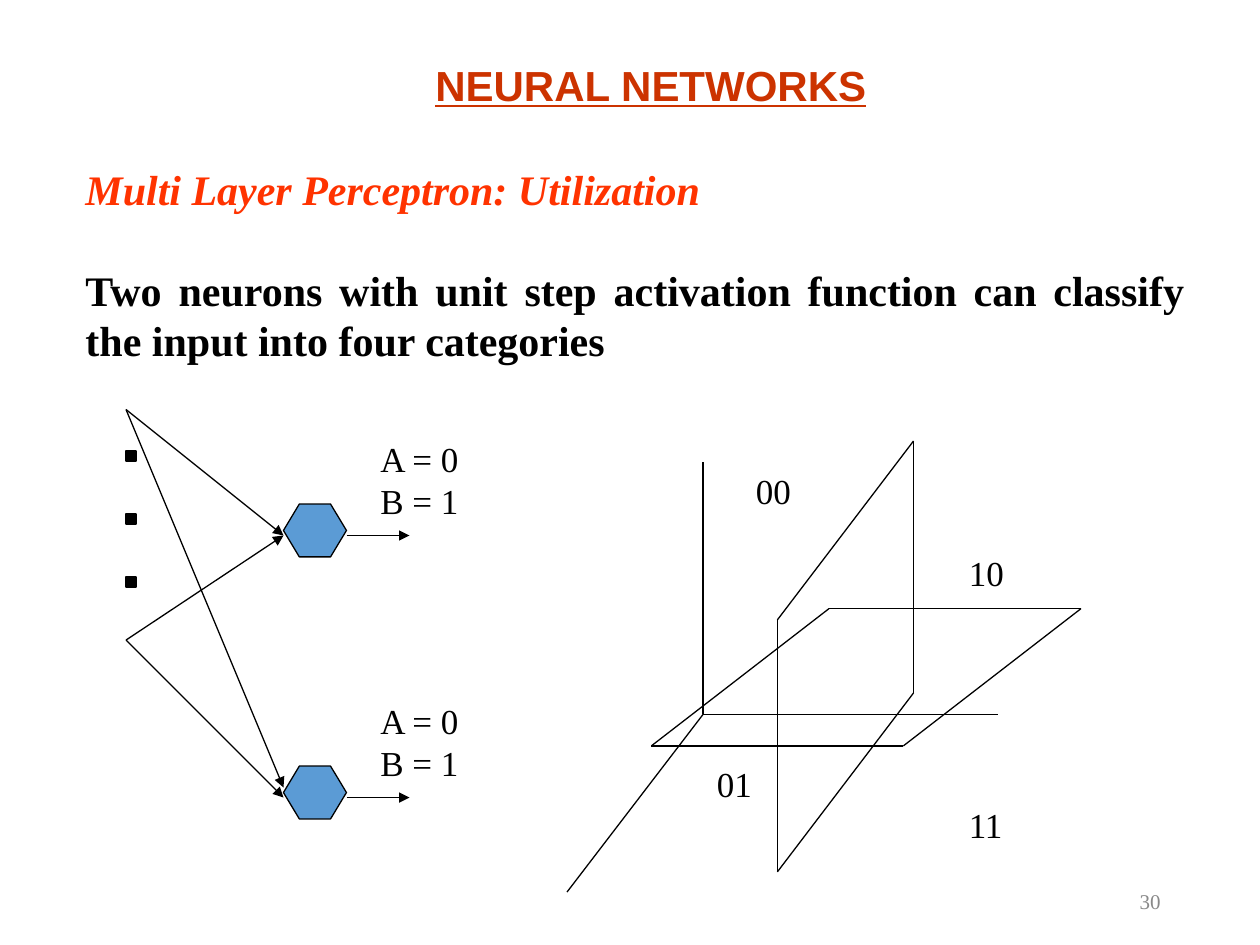
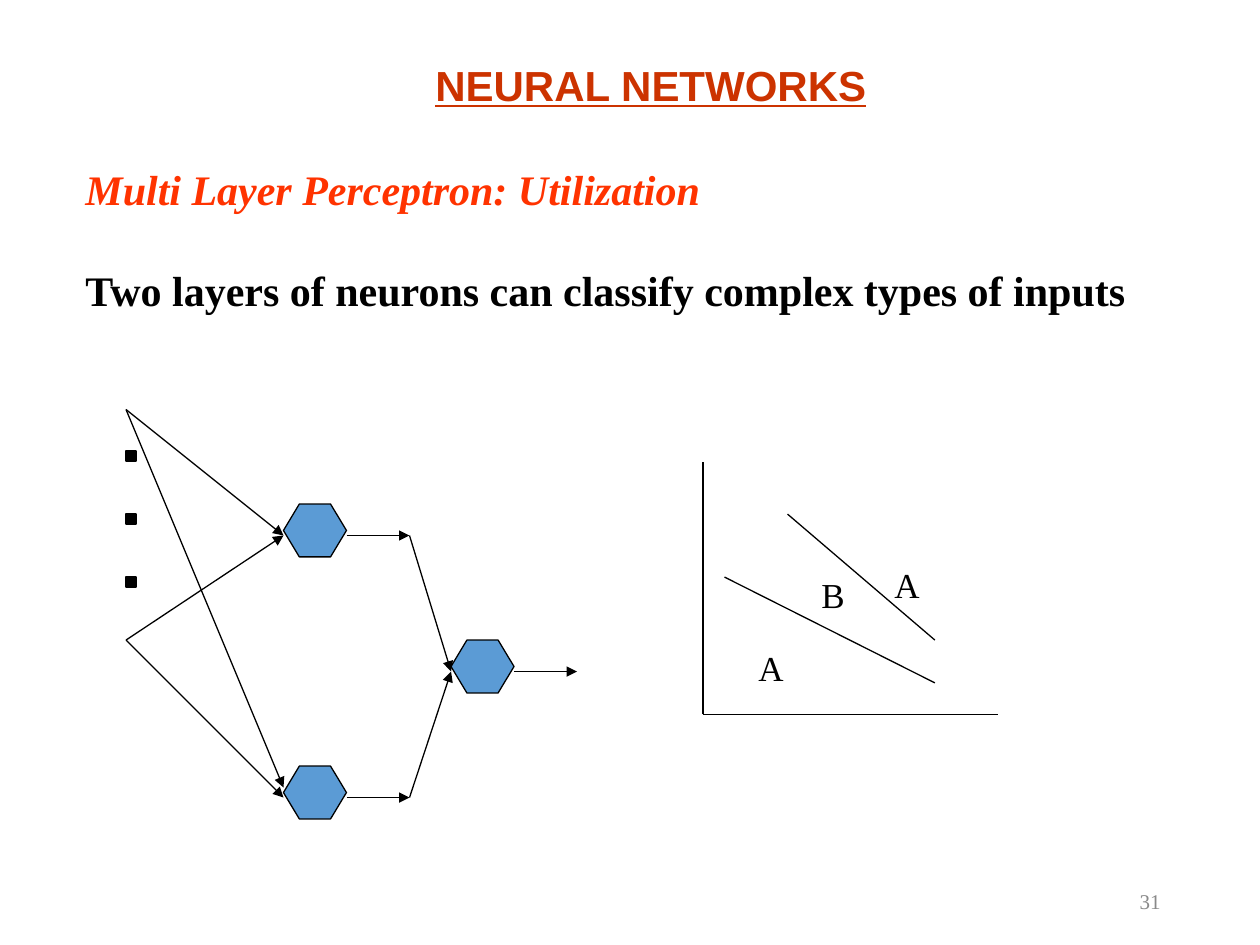
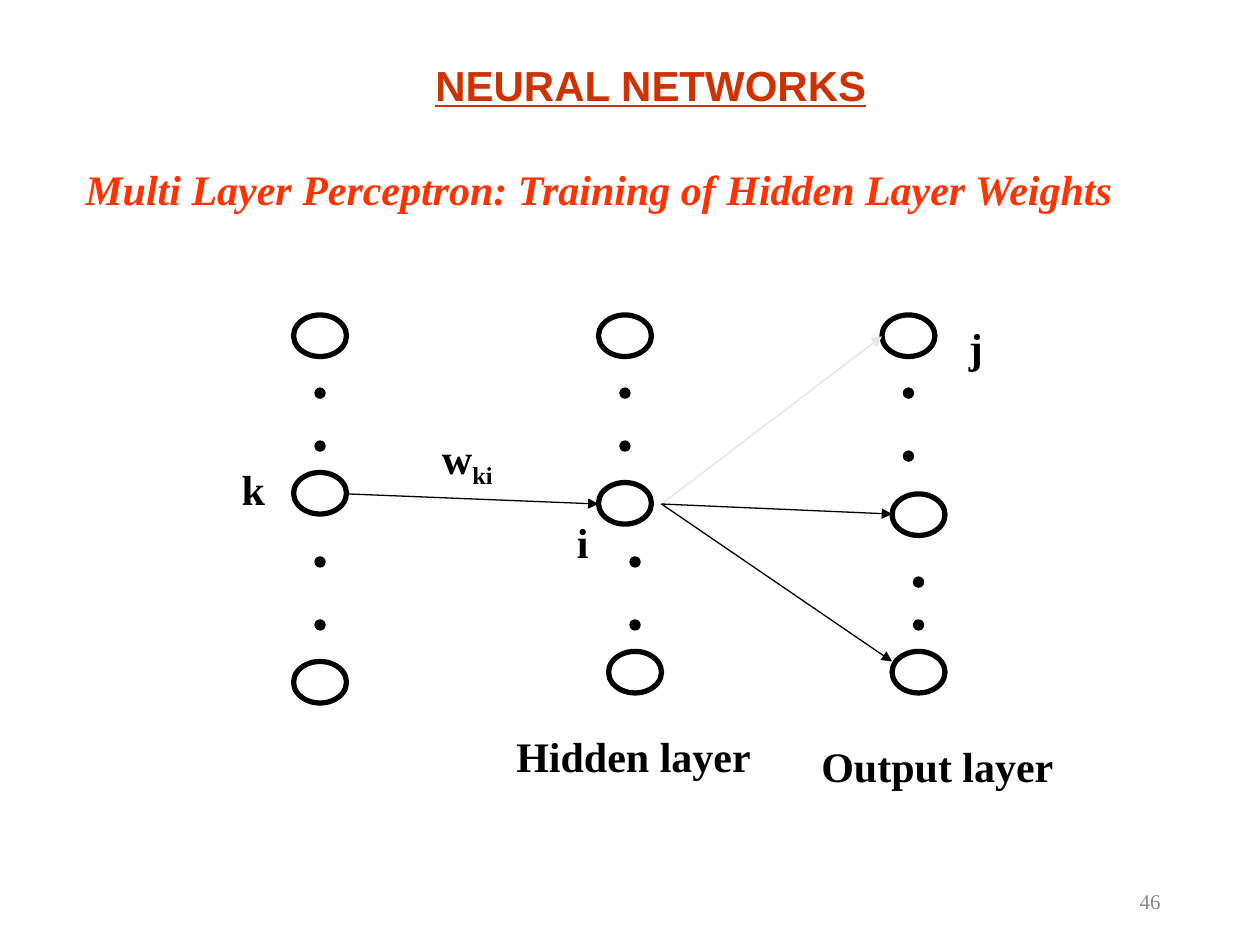
from lxml import etree
from pptx import Presentation
from pptx.dml.color import RGBColor
from pptx.enum.shapes import MSO_CONNECTOR, MSO_SHAPE
from pptx.enum.text import MSO_ANCHOR, MSO_AUTO_SIZE, PP_ALIGN
from pptx.oxml.ns import qn
from pptx.util import Inches, Pt

STRAIGHT = MSO_CONNECTOR.STRAIGHT
HEXAGON, SQUARE, OVAL = MSO_SHAPE.HEXAGON, MSO_SHAPE.RECTANGLE, MSO_SHAPE.OVAL
LEFT, CENTER, RIGHT, JUSTIFY = PP_ALIGN.LEFT, PP_ALIGN.CENTER, PP_ALIGN.RIGHT, PP_ALIGN.JUSTIFY
TOP, MIDDLE = MSO_ANCHOR.TOP, MSO_ANCHOR.MIDDLE
GROW, FIXED = MSO_AUTO_SIZE.SHAPE_TO_FIT_TEXT, MSO_AUTO_SIZE.NONE
SERIF, SANS = "Times New Roman", "Arial"
BLACK, BLUE, PALE, GRAY = "000000", "5B9BD5", "E7E6E6", "898989"
TITLE_RED, HEADING_RED = "CC3300", "FF3300"
color = RGBColor.from_string


def add_text(page, place, text, below=None, size=20, font=SERIF, ink=BLACK, bold=False,
             italic=False, underline=False, align=LEFT, anchor=TOP, wrap=False, fit=GROW,
             gap=0, subscript=""):
    box = below or page.shapes.add_textbox(*map(Inches, place))
    frame = box.text_frame
    frame.word_wrap, frame.vertical_anchor, frame.auto_size = wrap, anchor, fit
    for line in text.split("\n"):
        para = frame.add_paragraph() if frame.text else frame.paragraphs[0]
        para.alignment, para.space_before = align, Pt(gap)
        for part in filter(None, (line, subscript)):
            span = para.add_run()
            span.text = part
            span.font.name, span.font.size = font, Pt(size)
            span.font.bold, span.font.italic, span.font.underline = bold, italic, underline
            span.font.color.rgb = color(ink)
            if part == subscript:
                span._r.get_or_add_rPr().set("baseline", "-25000")
    return box


def add_line(page, start, end, arrow=False, ink=BLACK):
    line = page.shapes.add_connector(STRAIGHT, *map(Inches, (*start, *end)))
    line.line.color.rgb, line.line.width = color(ink), Pt(0.75)
    if arrow:
        etree.SubElement(line.line._get_or_add_ln(), qn("a:tailEnd"), type="triangle")
    etree.SubElement(line._element.spPr, qn("a:effectLst"))


deck = Presentation()
deck.slide_width, deck.slide_height = Inches(10), Inches(7.5)

pages = []
for number, heading, statement, width, height in [
    ("30", "Utilization", "Two neurons with unit step activation function can classify "
                          "the input into four categories", 8.92, 1.7),
    ("31", "Utilization", "Two layers of neurons can classify complex types of inputs", 8.92, 1.3),
    ("46", "Training of Hidden Layer Weights", "", 9, 0.5),
]:
    page = deck.slides.add_slide(deck.slide_layouts[6])
    pages.append(page)
    add_text(page, (7.06, 6.95, 2.25, 0.4), number, size=12, ink=GRAY, align=RIGHT,
             anchor=MIDDLE, wrap=True, fit=FIXED)
    add_text(page, (1.25, 0.42, 7.83, 0.5), "NEURAL NETWORKS", size=24, font=SANS,
             ink=TITLE_RED, bold=True, underline=True, align=CENTER, wrap=True)
    body = add_text(page, (0.58, 1.25, width, height), "Multi Layer Perceptron: " + heading,
                    size=24, ink=HEADING_RED, bold=True, italic=True, align=JUSTIFY, wrap=True)
    if statement:
        add_text(page, None, statement, below=body, size=24, bold=True, align=JUSTIFY,
                 wrap=True, gap=28.8)
planes_page, layers_page, training_page = pages

hexagons = [(planes_page, 2.25, 4), (planes_page, 2.25, 6.08),
            (layers_page, 2.25, 4), (layers_page, 2.25, 6.08), (layers_page, 3.58, 5.08)]
neurons = [(2.33, 2.5), (2.33, 3.75), (2.33, 5.25),
           (4.75, 2.5), (4.75, 3.83), (4.83, 5.17),
           (7, 2.5), (7.08, 3.92), (7.08, 5.17)]
dot_columns = [(2.5, (3.08, 3.5, 4.42, 4.92)),
               (4.92, (3.08, 3.5)), (5, (4.42, 4.92)),
               (7.17, (3.08, 3.58)), (7.25, (4.58, 4.92))]

shapes = [(page, HEXAGON, left, top, 0.5, 0.42, BLUE, 0.75) for page, left, top in hexagons]
shapes += [(page, SQUARE, 1, 3.58 + 0.5 * row, 0.08, 0.08, BLACK, 0.75)
           for page in (planes_page, layers_page) for row in range(3)]
shapes += [(training_page, OVAL, left, top, 0.42, 0.33, None, 3) for left, top in neurons]
shapes += [(training_page, OVAL, left, top, 0.08, 0.08, BLACK, 0.75)
           for left, tops in dot_columns for top in tops]
for page, kind, left, top, width, height, fill, weight in shapes:
    shape = page.shapes.add_shape(kind, *map(Inches, (left, top, width, height)))
    shape.shadow.inherit = False
    if kind == HEXAGON:
        shape.adjustments[0] = 0.3
    if fill:
        shape.fill.solid()
        shape.fill.fore_color.rgb = color(fill)
    else:
        shape.fill.background()
    shape.line.color.rgb, shape.line.width = color(BLACK), Pt(weight)

first_input, last_input = (1, 3.25), (1, 5.08)
origin = (5.58, 5.67)
for page in (planes_page, layers_page):
    for start, end in [(first_input, (2.25, 4.25)), (last_input, (2.25, 4.25)),
                       (first_input, (2.25, 6.25)), (last_input, (2.25, 6.33)),
                       ((2.75, 4.25), (3.25, 4.25)), ((2.75, 6.33), (3.25, 6.33))]:
        add_line(page, start, end, arrow=True)
    for axis_end in [(5.58, 3.67), (7.92, 5.67)]:
        add_line(page, origin, axis_end)

add_line(planes_page, origin, (4.5, 7.08))
for corners in [[(7.25, 3.5), (6.17, 4.92), (6.17, 6.92), (7.25, 5.5)],
                [(8.58, 4.83), (7.17, 5.92), (5.17, 5.92), (6.58, 4.83)]]:
    for start, end in zip(corners, corners[1:] + corners[:1]):
        add_line(planes_page, start, end)
for code, left, top in [("00", 5.9, 3.68), ("10", 7.59, 4.33), ("01", 5.59, 6), ("11", 7.59, 6.33)]:
    add_text(planes_page, (left, top, 0.48, 0.44), code)
for top in (3.42, 5.5):
    add_text(planes_page, (2.92, top, 0.83, 0.77), "A = 0\nB = 1")

for start, end in [((3.25, 4.25), (3.58, 5.33)), ((3.25, 6.33), (3.58, 5.33)),
                   ((4.08, 5.33), (4.58, 5.33))]:
    add_line(layers_page, start, end, arrow=True)
for start, end in [((5.75, 4.58), (7.42, 5.42)), ((7.42, 5.08), (6.25, 4.08))]:
    add_line(layers_page, start, end)
for category, left, top, width in [("A", 5.92, 5.08, 0.4), ("A", 7, 4.42, 0.4), ("B", 6.42, 4.5, 0.38)]:
    add_text(layers_page, (left, top, width, 0.44), category)

hidden_output = (5.25, 4)
for start, end, ink in [((2.75, 3.92), (4.75, 4), BLACK), (hidden_output, (7, 2.67), PALE),
                        (hidden_output, (7.08, 4.08), BLACK), (hidden_output, (7.08, 5.25), BLACK)]:
    add_line(training_page, start, end, arrow=True, ink=ink)
for label, subscript, place in [
    ("k", "", (1.82, 3.63, 0.38, 0.5)),
    ("w", "ki", (3.41, 3.38, 0.6, 0.56)),
    ("i", "", (4.48, 4.05, 0.29, 0.5)),
    ("j", "", (7.59, 2.5, 0.31, 0.5)),
    ("Hidden layer", "", (4, 5.75, 2.06, 0.5)),
    ("Output layer", "", (6.42, 5.83, 2.04, 0.5)),
]:
    add_text(training_page, place, label, size=24, bold=True, subscript=subscript)

deck.save("out.pptx")
